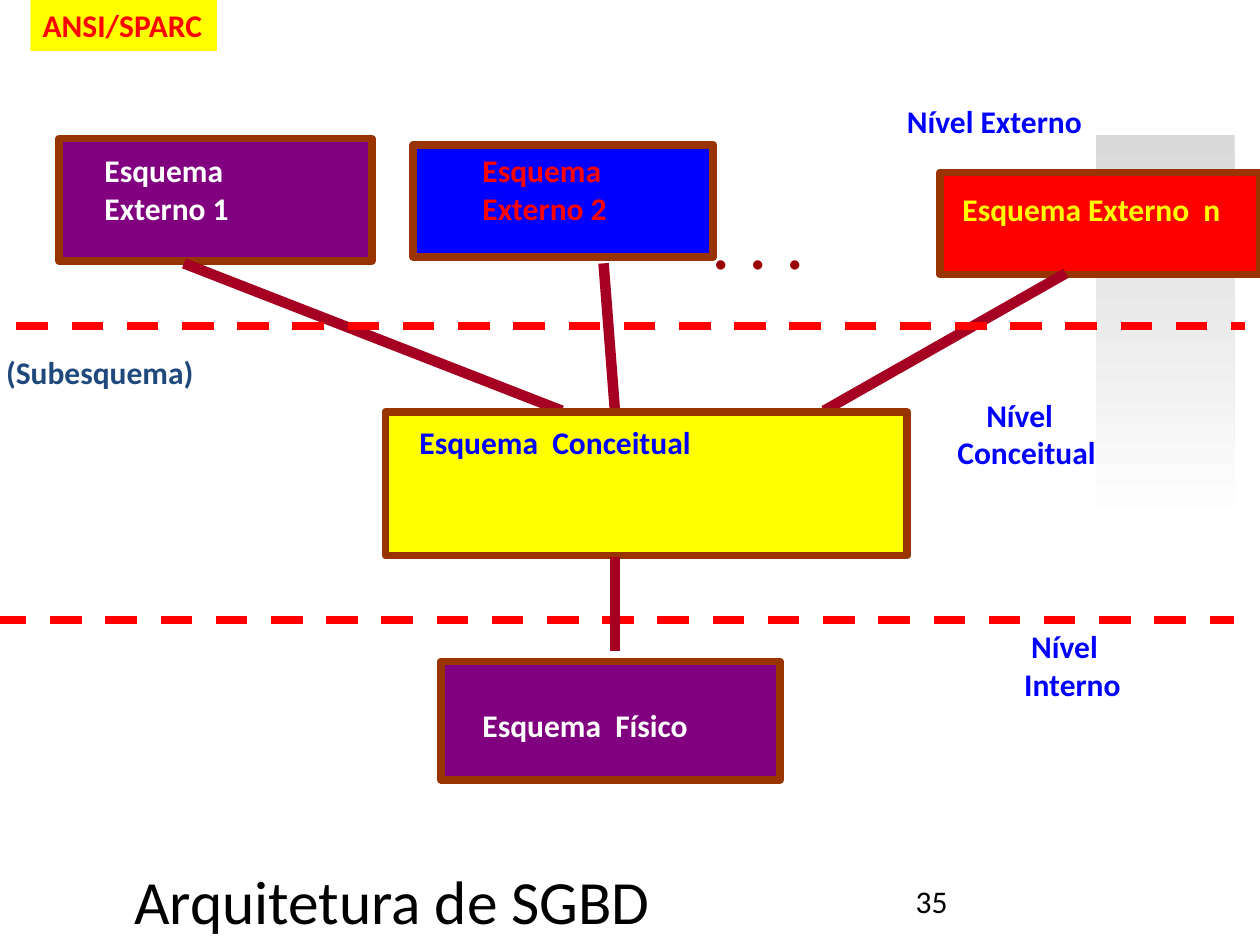
from dataclasses import dataclass
from typing import Optional

from lxml.etree import SubElement
from pptx import Presentation
from pptx.dml.color import RGBColor
from pptx.enum.dml import MSO_LINE_DASH_STYLE as Dash
from pptx.enum.shapes import MSO_CONNECTOR as Connector, MSO_SHAPE as Preset
from pptx.enum.text import MSO_ANCHOR as Anchor, PP_ALIGN as Align
from pptx.oxml.ns import qn
from pptx.slide import Slide
from pptx.util import Pt

BLACK = RGBColor(0x00, 0x00, 0x00)
WHITE = RGBColor(0xFF, 0xFF, 0xFF)
GRAY = RGBColor(0xD9, 0xD9, 0xD9)
RED = RGBColor(0xFF, 0x00, 0x00)
YELLOW = RGBColor(0xFF, 0xFF, 0x00)
BLUE = RGBColor(0x00, 0x00, 0xFF)
NAVY = RGBColor(0x1F, 0x49, 0x7D)
PURPLE = RGBColor(0x80, 0x00, 0x80)
BROWN = RGBColor(0x99, 0x33, 0x00)
MAROON = RGBColor(0x99, 0x00, 0x00)
CRIMSON = RGBColor(0xA5, 0x00, 0x21)
FONT = "Calibri"


@dataclass
class Schema:
    left: float
    top: float
    width: float
    height: float
    fill: RGBColor


@dataclass
class Label:
    left: float
    top: float
    width: float
    height: float
    lines: tuple[str, ...]
    color: RGBColor
    size: float = 18
    bold: bool = True
    wrap: bool = False
    first_indent: float = 0
    fill: Optional[RGBColor] = None
    align: Align = Align.LEFT
    anchor: Anchor = Anchor.TOP


@dataclass
class Line:
    x1: float
    y1: float
    x2: float
    y2: float
    color: RGBColor = CRIMSON
    weight: float = 6
    dashed: bool = False


EXTERNAL_SCHEMAS = [
    Schema(33.8, 79.2, 178.6, 69.8, PURPLE),
    Schema(236.2, 82.8, 171.4, 64.1, BLUE),
    Schema(537.1, 98.6, 182.9, 58.3, RED),
]
INNER_SCHEMAS = [
    Schema(220.3, 235.4, 298.1, 82.1, YELLOW),
    Schema(252, 378, 193.7, 67.7, PURPLE),
]
EXTERNAL_LINKS = [
    Line(105.1, 150.5, 321.1, 234.7),
    Line(344.9, 150.5, 351.4, 234.7),
    Line(609.1, 156.2, 470.9, 234.7),
]
INTERNAL_LINK = Line(351.4, 318.2, 351.4, 372.2)
EXTERNAL_BORDER = Line(9.4, 186.5, 711.4, 186.5, RED, 4.5, True)
INTERNAL_BORDER = Line(-2.9, 354.2, 704.9, 354.2, RED, 4.5, True)

LABELS = [
    Label(-31, 488.2, 509.8, 51.8, ("Arquitetura de SGBD",), BLACK, 35.1, False, True,
          align=Align.CENTER, anchor=Anchor.MIDDLE),
    Label(17.3, 0, 106.6, 29.1, ("ANSI/SPARC",), RED, fill=YELLOW),
    Label(511.2, 54.7, 115.2, 29.1, ("Nível Externo",), BLUE),
    Label(540, 222.5, 94.3, 50.9, ("Nível", "Conceitual"), BLUE, first_indent=16.5),
    Label(578.2, 355, 69.8, 50.9, ("Nível", "Interno"), BLUE, first_indent=4),
    Label(52.6, 82.8, 205.2, 50.9, ("Esquema", "Externo 1"), WHITE, wrap=True),
    Label(268.6, 82.8, 199.4, 50.9, ("Esquema", "Externo 2"), RED, wrap=True),
    Label(399.6, 106.6, 68.4, 60.5, (". . .",), MAROON, 44, False),
    Label(542.9, 105.1, 213.8, 29.1, ("Esquema Externo  n",), YELLOW, wrap=True),
    Label(-3.6, 198, 122.4, 29.1, ("(Subesquema)",), NAVY, fill=WHITE),
    Label(232.6, 238.3, 258.5, 29.1, ("Esquema  Conceitual",), BLUE, wrap=True),
    Label(268.6, 399.6, 160.6, 29.1, ("Esquema  Físico",), WHITE, wrap=True),
    Label(516.2, 500.4, 167.8, 29.1, ("35",), BLACK, bold=False, wrap=True),
]


def draw_fading_column(page: Slide) -> None:
    column = page.shapes.add_shape(Preset.RECTANGLE, Pt(626.4), Pt(77), Pt(79.2), Pt(447.8))
    column.shadow.inherit = False
    column.line.fill.background()
    column.fill.gradient()
    column.fill.gradient_angle = 270
    for stop, color, position in zip(column.fill.gradient_stops, (GRAY, WHITE), (0, 0.5)):
        stop.color.rgb = color
        stop.position = position


def draw_schema(page: Slide, schema: Schema) -> None:
    box = page.shapes.add_shape(Preset.RECTANGLE, Pt(schema.left), Pt(schema.top),
                                Pt(schema.width), Pt(schema.height))
    box.shadow.inherit = False
    box.fill.solid()
    box.fill.fore_color.rgb = schema.fill
    box.line.color.rgb = BROWN
    box.line.width = Pt(4.5)


def draw_line(page: Slide, line: Line) -> None:
    connector = page.shapes.add_connector(Connector.STRAIGHT, Pt(line.x1), Pt(line.y1),
                                          Pt(line.x2), Pt(line.y2))
    connector.line.color.rgb = line.color
    connector.line.width = Pt(line.weight)
    if line.dashed:
        connector.line.dash_style = Dash.DASH
    SubElement(connector.element.spPr, qn("a:effectLst"))


def draw_label(page: Slide, label: Label) -> None:
    box = page.shapes.add_textbox(Pt(label.left), Pt(label.top), Pt(label.width), Pt(label.height))
    if label.fill is not None:
        box.fill.solid()
        box.fill.fore_color.rgb = label.fill
    frame = box.text_frame
    frame.word_wrap = label.wrap
    frame.vertical_anchor = label.anchor
    for index, line in enumerate(label.lines):
        para = frame.add_paragraph() if index else frame.paragraphs[0]
        para.alignment = label.align
        if index == 0 and label.first_indent:
            para._p.get_or_add_pPr().set("indent", str(Pt(label.first_indent)))
        span = para.add_run()
        span.text = line
        span.font.name = FONT
        span.font.size = Pt(label.size)
        span.font.bold = label.bold
        span.font.color.rgb = label.color


def main() -> None:
    deck = Presentation()
    deck.slide_width, deck.slide_height = Pt(720), Pt(540)
    page = deck.slides.add_slide(deck.slide_layouts[6])
    draw_fading_column(page)
    draw_line(page, INTERNAL_BORDER)
    for schema in EXTERNAL_SCHEMAS:
        draw_schema(page, schema)
    for link in EXTERNAL_LINKS:
        draw_line(page, link)
    for schema in INNER_SCHEMAS:
        draw_schema(page, schema)
    draw_line(page, INTERNAL_LINK)
    draw_line(page, EXTERNAL_BORDER)
    for label in LABELS:
        draw_label(page, label)
    deck.save("out.pptx")


if __name__ == "__main__":
    main()
